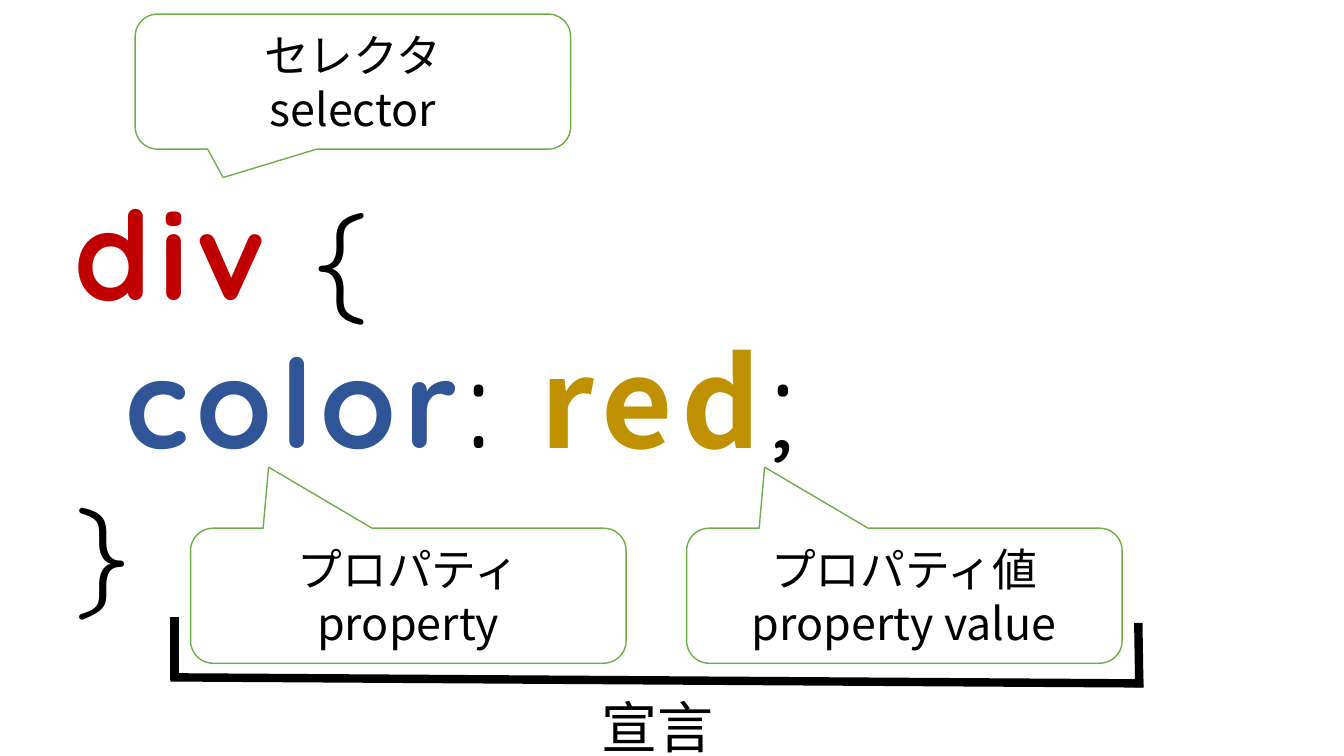
from lxml.etree import SubElement
from pptx import Presentation
from pptx.dml.color import RGBColor
from pptx.enum.shapes import MSO_CONNECTOR, MSO_SHAPE
from pptx.enum.text import MSO_ANCHOR, MSO_AUTO_SIZE, PP_ALIGN
from pptx.oxml.ns import qn
from pptx.util import Inches, Pt

BLACK = RGBColor(0x00, 0x00, 0x00)
WHITE = RGBColor(0xFF, 0xFF, 0xFF)
RED = RGBColor(0xC0, 0x00, 0x00)
BLUE = RGBColor(0x2F, 0x55, 0x97)
GOLD = RGBColor(0xBF, 0x90, 0x00)
GREEN = RGBColor(0x70, 0xAD, 0x47)
CODE_FONT = "Quicksand"
TEXT_FONT = "Noto Sans CJK JP"

CODE = [
    [("div", RED, True, CODE_FONT), (" {", BLACK, False, CODE_FONT)],
    [("\t", BLACK, False, CODE_FONT), ("color", BLUE, True, CODE_FONT),
     (": ", BLACK, False, CODE_FONT), ("red", GOLD, True, TEXT_FONT),
     (";", BLACK, False, CODE_FONT)],
    [("}", BLACK, False, CODE_FONT)],
]
CALLOUT_SIZE = (4.32, 1.34)
CALLOUTS = [
    ("プロパティ\nproperty", 1.89, 5.24, (-0.321, -0.952)),
    ("セレクタ\nselector", 1.34, 0.14, (-0.298, 0.71)),
    ("プロパティ値\vproperty value", 6.81, 5.24, (-0.321, -0.952)),
]


def format_run(r, size, color, bold=False, font=TEXT_FONT):
    """Give a run its size, colour, weight and Latin and East Asian fonts."""
    for name, value in {"size": Pt(size), "bold": bold, "name": font}.items():
        setattr(r.font, name, value)
    r.font.color.rgb = color
    SubElement(r.font._element, qn("a:ea"), typeface=font)


def add_code(s, left, top, width, height):
    """Fill the body placeholder with the CSS rule."""
    sp = s.placeholders[1]
    box = {"left": left, "top": top, "width": width, "height": height}
    for name, value in box.items():
        setattr(sp, name, Inches(value))
    tf = sp.text_frame
    tf.auto_size = MSO_AUTO_SIZE.NONE
    tf.vertical_anchor = MSO_ANCHOR.TOP
    for i, parts in enumerate(CODE):
        p = tf.add_paragraph() if i else tf.paragraphs[0]
        for name, value in {"line_spacing": 0.9, "space_before": Pt(10)}.items():
            setattr(p, name, value)
        pPr = p._p.get_or_add_pPr()
        for name in ("marL", "indent"):
            pPr.set(name, "0")
        SubElement(pPr, qn("a:buNone"))
        for text, color, bold, font in parts:
            r = p.add_run()
            r.text = text
            format_run(r, 88, color, bold, font)
            r.font._element.set("spc", "600")


def add_callout(s, text, left, top, width, height, tip):
    """Add a rounded speech bubble whose tip points at a part of the code."""
    sp = s.shapes.add_shape(MSO_SHAPE.ROUNDED_RECTANGULAR_CALLOUT,
                            *map(Inches, (left, top, width, height)))
    for i, value in enumerate((*tip, 0.167)):
        sp.adjustments[i] = value
    sp.shadow.inherit = False
    sp.fill.solid()
    sp.fill.fore_color.rgb = WHITE
    sp.line.color.rgb = GREEN
    sp.line.width = Pt(1)
    tf = sp.text_frame
    tf.word_wrap = True
    tf.vertical_anchor = MSO_ANCHOR.MIDDLE
    tf.text = text
    for p in tf.paragraphs:
        p.alignment = PP_ALIGN.CENTER
        for r in p.runs:
            format_run(r, 32, BLACK)


def add_bracket(s, left, top, width, height):
    """Add the declaration bracket and its label."""
    right, bottom = left + width, top + height
    for ends in ((left, bottom - 0.1, right, bottom - 0.04),
                 (right - 0.05, top + 0.06, right - 0.04, bottom),
                 (left + 0.04, top, left + 0.04, bottom - 0.07)):
        line = s.shapes.add_connector(MSO_CONNECTOR.STRAIGHT, *map(Inches, ends))
        line.line.color.rgb = BLACK
        line.line.width = Pt(6)
        SubElement(line._element.spPr, qn("a:effectLst"))
    sp = s.shapes.add_textbox(*map(Inches, (left + 4.18, bottom, 1.32, 0.77)))
    tf = sp.text_frame
    tf.word_wrap = False
    tf.auto_size = MSO_AUTO_SIZE.SHAPE_TO_FIT_TEXT
    r = tf.paragraphs[0].add_run()
    r.text = "宣言"
    format_run(r, 40, BLACK)


def build_slide(prs):
    """Build the slide that names the parts of a CSS rule."""
    s = prs.slides.add_slide(prs.slide_layouts[1])
    title = s.shapes.title._element
    title.getparent().remove(title)
    add_code(s, 0.64, 1.88, 11.78, 2.75)
    for text, left, top, tip in CALLOUTS:
        add_callout(s, text, left, top, *CALLOUT_SIZE, tip)
    add_bracket(s, 1.69, 6.12, 9.65, 0.7)


prs = Presentation()
prs.slide_width = Inches(13.33)
prs.slide_height = Inches(7.5)
build_slide(prs)
prs.save("out.pptx")
